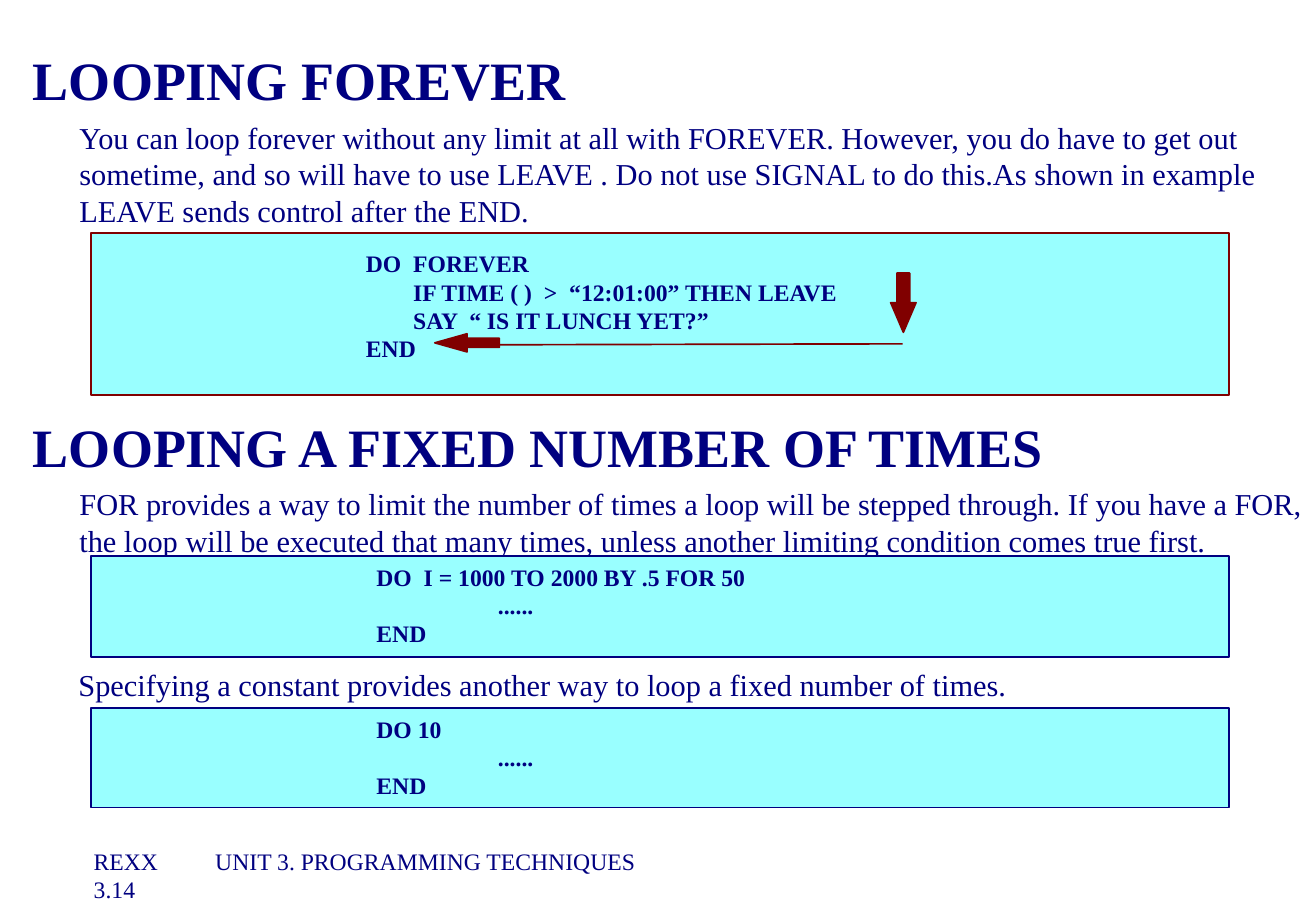
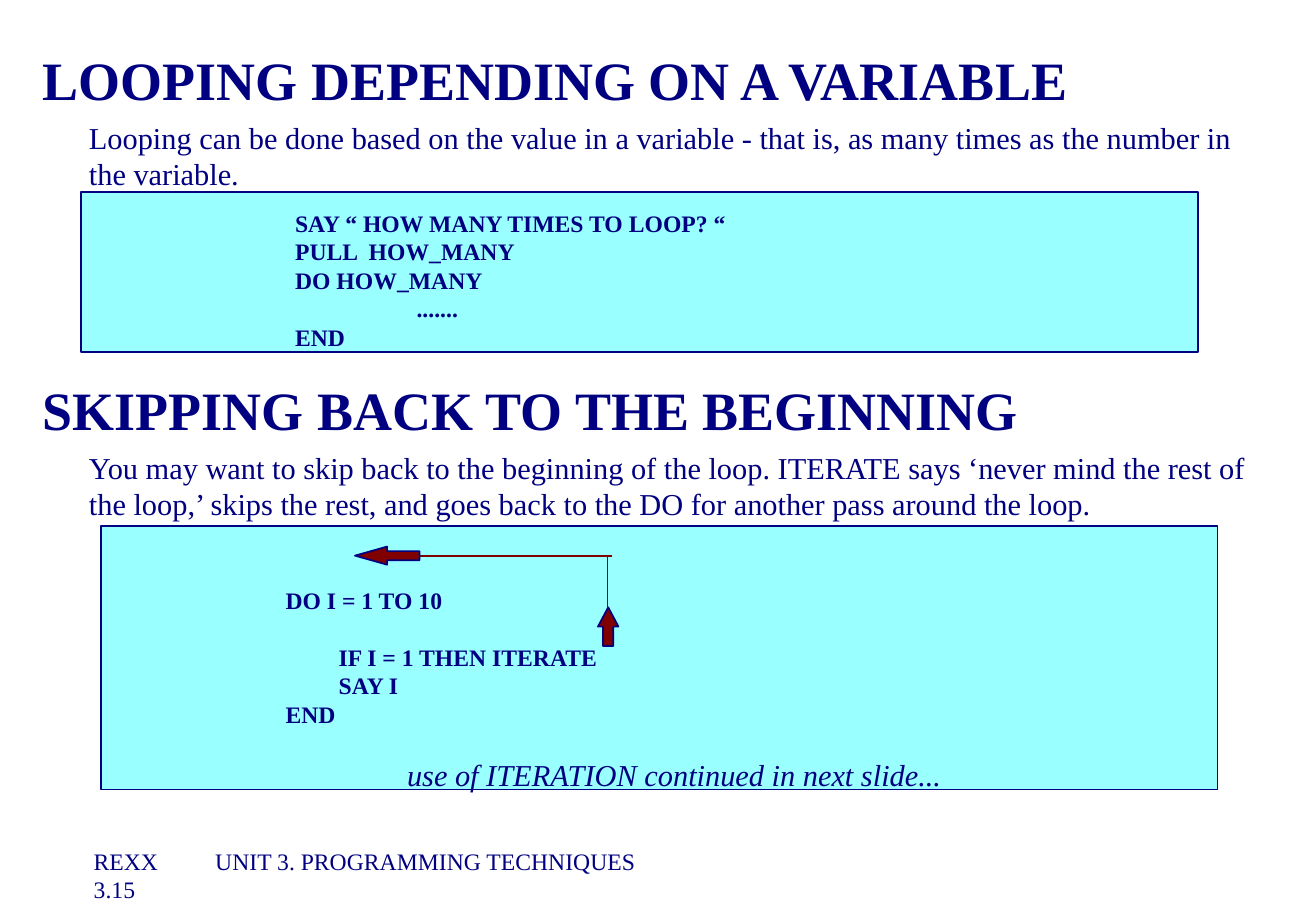
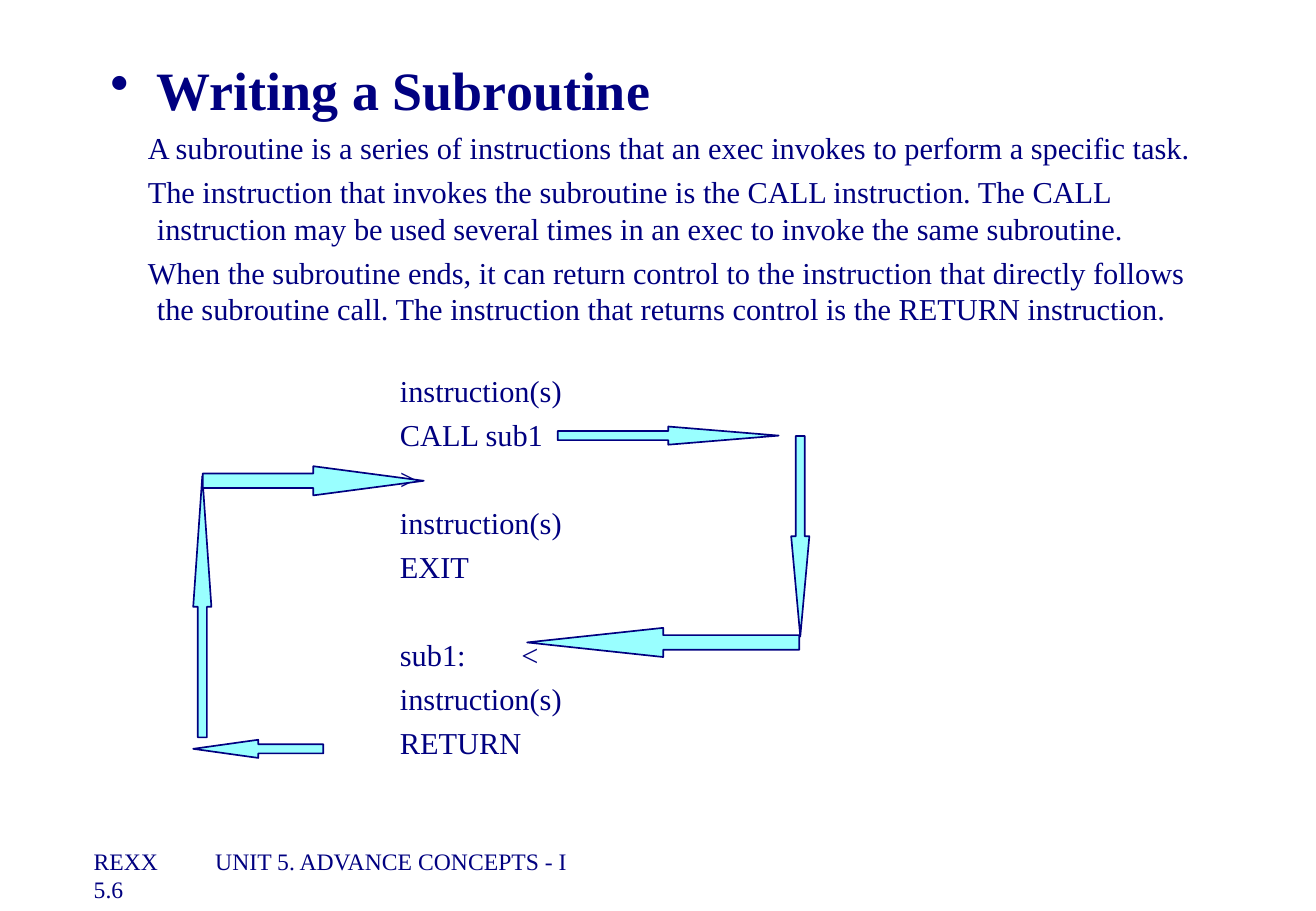
"""Build three slides on REXX loops and subroutines."""
from lxml import etree
from pptx import Presentation
from pptx.dml.color import RGBColor
from pptx.enum.shapes import MSO_CONNECTOR, MSO_SHAPE
from pptx.oxml.ns import qn
from pptx.util import Cm, Pt

STRAIGHT = MSO_CONNECTOR.STRAIGHT
RECTANGLE = MSO_SHAPE.RECTANGLE
UP, DOWN = MSO_SHAPE.UP_ARROW, MSO_SHAPE.DOWN_ARROW
LEFT, RIGHT = MSO_SHAPE.LEFT_ARROW, MSO_SHAPE.RIGHT_ARROW


class Theme:
    """Colours, font and text styles shared by the slides."""
    navy = RGBColor(0x00, 0x00, 0x80)
    maroon = RGBColor(0x80, 0x00, 0x00)
    cyan = RGBColor(0x99, 0xFF, 0xFF)
    white = RGBColor(0xFF, 0xFF, 0xFF)
    font = "Times New Roman"
    line = Pt(1)
    styles = {
        "heading": dict(size=32, bold=True),
        "bulleted": dict(size=32, bold=True, margin=0.97, first=-0.97, bullet="•"),
        "body": dict(size=18, before=4.5, margin=0.97),
        "hanging": dict(size=18, before=4.5, margin=0.97, first=-0.19),
        "plain": dict(size=18),
        "step": dict(size=18, before=4.5),
        "routine": dict(size=18, before=30.5, tab=(2.97, "l")),
        "aside": dict(size=18, italic=True),
        "code": dict(size=14, bold=True),
        "inner": dict(size=14, bold=True, margin=2.54),
        "spaced": dict(size=14, bold=True, before=16.8),
        "footer": dict(size=14, tab=(23.78, "r")),
    }


SLIDE_WIDTH, SLIDE_HEIGHT = 27.51, 19.05
FOOTER = (1.96, 17.7, 24.2)
UNIT_3 = "UNIT 3. PROGRAMMING TECHNIQUES"
UNIT_5 = "UNIT 5. ADVANCE CONCEPTS - I"

PAGES = [
    {
        "unit": UNIT_3, "number": "3.14",
        "arrow_colors": (Theme.maroon, Theme.maroon),
        "prose": [
            (0.69, 0.97, 26.57, [
                ("heading", "LOOPING FOREVER"),
                ("body", "You can loop forever without any limit at all with FOREVER. "
                         "However, you do have to get out sometime, and so will have to use "
                         "LEAVE . Do not use SIGNAL to do this.As shown in example LEAVE "
                         "sends control after the END.")]),
            (0.69, 8.64, 26.57, [
                ("heading", "LOOPING A FIXED NUMBER OF TIMES"),
                ("body", "FOR provides a way to limit the number of times a loop will be "
                         "stepped through. If you have a FOR, the loop will be executed that "
                         "many times, unless another limiting condition comes true first.")]),
            (1.64, 13.93, 25.6, [
                ("plain", "Specifying a constant provides another way to loop a fixed "
                          "number of times.")]),
        ],
        "panels": [
            (1.9, 4.88, 23.8, 3.38, Theme.maroon),
            (1.9, 11.63, 23.8, 2.11, Theme.navy),
            (1.9, 14.81, 23.8, 2.08, Theme.navy),
        ],
        "code": [
            (7.65, 5.21, 13, [
                ("code", "DO  FOREVER"),
                ("code", "        IF TIME ( )  >  “12:01:00” THEN LEAVE"),
                ("code", "        SAY  “ IS IT LUNCH YET?”"),
                ("code", "END")]),
            (7.87, 11.76, 13, [
                ("code", "DO  I = 1000 TO 2000 BY .5 FOR 50"),
                ("inner", "......"),
                ("code", "END")]),
            (7.87, 14.94, 13, [
                ("code", "DO 10"),
                ("inner", "......"),
                ("code", "END")]),
        ],
        "lines": [(18.87, 7.19, 10.16, 7.21)],
        "arrows": [(DOWN, 18.62, 5.71, 0.53, 1.24), (LEFT, 9.09, 6.98, 1.35, 0.38)],
    },
    {
        "unit": UNIT_3, "number": "3.15",
        "arrow_colors": (Theme.maroon, Theme.navy),
        "prose": [
            (0.89, 0.97, 25.73, [
                ("heading", "LOOPING DEPENDING ON A VARIABLE"),
                ("body", "Looping can be done based on the value in a variable - that is, "
                         "as many times as the number in the variable.")]),
            (0.89, 7.87, 25.73, [
                ("heading", "SKIPPING BACK TO THE BEGINNING"),
                ("body", "You may want to skip back to the beginning of the loop. ITERATE "
                         "says ‘never mind the rest of the loop,’ skips the rest, and goes "
                         "back to the DO for another pass around the loop.")]),
        ],
        "panels": [
            (1.7, 4.01, 23.34, 3.35, Theme.navy),
            (2.11, 11, 23.34, 5.51, Theme.navy),
        ],
        "code": [
            (6.17, 4.37, 13, [
                ("code", "SAY “ HOW MANY TIMES TO LOOP? “"),
                ("code", "PULL  HOW_MANY"),
                ("code", "DO HOW_MANY"),
                ("inner", "......."),
                ("code", "END")]),
            (5.97, 12.26, 13, [
                ("code", "DO I = 1 TO 10"),
                ("spaced", "         IF I = 1 THEN ITERATE"),
                ("code", "         SAY I"),
                ("code", "END")]),
            (8.51, 15.81, 13, [("aside", "use of ITERATION continued in next slide...")]),
        ],
        "lines": [(12.7, 13.13, 12.7, 11.63), (8.69, 11.63, 12.8, 11.63)],
        "arrows": [(UP, 12.5, 12.7, 0.43, 0.81), (LEFT, 7.42, 11.43, 1.35, 0.38)],
    },
    {
        "unit": UNIT_5, "number": "5.6",
        "arrow_colors": (Theme.cyan, Theme.navy),
        "prose": [
            (2.31, 1.19, 22.86, [
                ("bulleted", "Writing a Subroutine"),
                ("hanging", "A subroutine is a series of instructions that an exec invokes "
                            "to perform a specific task."),
                ("hanging", "The instruction that invokes the subroutine is the CALL "
                            "instruction. The CALL instruction may be used several times in "
                            "an exec to invoke the same subroutine."),
                ("hanging", "When the subroutine ends, it can return control to the "
                            "instruction that directly follows the subroutine call. The "
                            "instruction that returns control is the RETURN instruction.")]),
        ],
        "panels": [],
        "code": [
            (8.36, 7.78, 8, [
                ("plain", "instruction(s)"),
                ("step", "CALL sub1"),
                ("step", ">"),
                ("step", "instruction(s)"),
                ("step", "EXIT"),
                ("routine", "sub1:\t<"),
                ("step", "instruction(s)"),
                ("step", "RETURN")]),
        ],
        "lines": [],
        "arrows": [
            (RIGHT, 11.66, 8.92, 4.62, 0.38), (DOWN, 16.54, 9.12, 0.38, 4.19),
            (LEFT, 11.02, 13.13, 5.69, 0.61), (LEFT, 4.04, 15.47, 2.72, 0.38),
            (UP, 4.04, 9.96, 0.38, 5.46), (RIGHT, 4.24, 9.75, 4.62, 0.61),
        ],
    },
]


def add_text(frame, text, *, size, bold=False, italic=False, before=0,
             margin=0, first=0, bullet=None, tab=None):
    """Write one paragraph, reusing the empty first one."""
    para = frame.paragraphs[0]
    if para.runs:
        para = frame.add_paragraph()
    para.space_before = Pt(before)
    properties = para._p.get_or_add_pPr()
    properties.set("marL", str(Cm(margin)))
    properties.set("indent", str(Cm(first)))
    if bullet:
        etree.SubElement(properties, qn("a:buChar")).set("char", bullet)
    else:
        etree.SubElement(properties, qn("a:buNone"))
    if tab:
        position, side = tab
        stops = etree.SubElement(properties, qn("a:tabLst"))
        etree.SubElement(stops, qn("a:tab"), pos=str(Cm(position)), algn=side)
    span = para.add_run()
    span.text = text
    span.font.name = Theme.font
    span.font.size = Pt(size)
    span.font.bold = bold
    span.font.italic = italic
    span.font.color.rgb = Theme.navy


def add_box(page, left, top, width, rows):
    """Add a text box holding (style, text) rows."""
    height = sum(Theme.styles[style]["size"] for style, _ in rows) * 1.2
    box = page.shapes.add_textbox(Cm(left), Cm(top), Cm(width), Pt(height))
    frame = box.text_frame
    frame.word_wrap = True
    frame.margin_left = frame.margin_right = frame.margin_top = frame.margin_bottom = 0
    for style, text in rows:
        add_text(frame, text, **Theme.styles[style])


def add_figure(page, kind, left, top, width, height, fill, outline):
    """Add a filled and outlined preset shape."""
    shape = page.shapes.add_shape(kind, Cm(left), Cm(top), Cm(width), Cm(height))
    shape.shadow.inherit = False
    shape.fill.solid()
    shape.fill.fore_color.rgb = fill
    shape.line.color.rgb = outline
    shape.line.width = Theme.line
    return shape


def add_arrow(page, kind, left, top, width, height, colors):
    """Add a block arrow whose head takes half its length."""
    arrow = add_figure(page, kind, left, top, width, height, *colors)
    arrow.adjustments[0] = 0.5
    arrow.adjustments[1] = max(width, height) / min(width, height) / 2


def add_line(page, *ends):
    """Add a straight maroon line."""
    line = page.shapes.add_connector(STRAIGHT, *map(Cm, ends))
    line.line.color.rgb = Theme.maroon
    line.line.width = Theme.line
    etree.SubElement(line._element.spPr, qn("a:effectLst"))


def build_page(deck, content):
    """Lay out one slide from its content."""
    page = deck.slides.add_slide(deck.slide_layouts[6])
    page.background.fill.solid()
    page.background.fill.fore_color.rgb = Theme.white
    for block in content["prose"]:
        add_box(page, *block)
    for *place, outline in content["panels"]:
        add_figure(page, RECTANGLE, *place, Theme.cyan, outline)
    for block in content["code"]:
        add_box(page, *block)
    for ends in content["lines"]:
        add_line(page, *ends)
    for arrow in content["arrows"]:
        add_arrow(page, *arrow, content["arrow_colors"])
    add_box(page, *FOOTER, [("footer", "REXX\t" + content["unit"]),
                            ("footer", content["number"])])


def main():
    """Build and save the deck."""
    deck = Presentation()
    deck.slide_width, deck.slide_height = Cm(SLIDE_WIDTH), Cm(SLIDE_HEIGHT)
    for content in PAGES:
        build_page(deck, content)
    deck.save("out.pptx")


if __name__ == "__main__":
    main()
